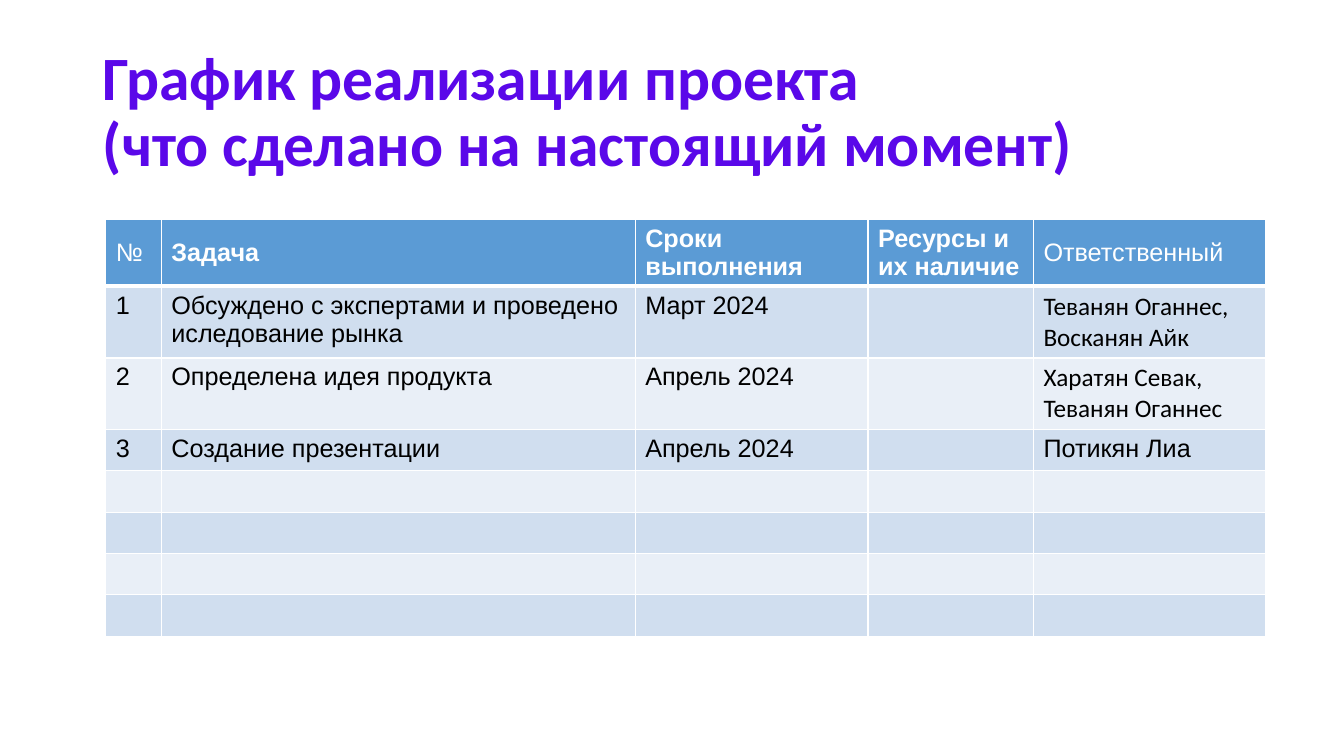
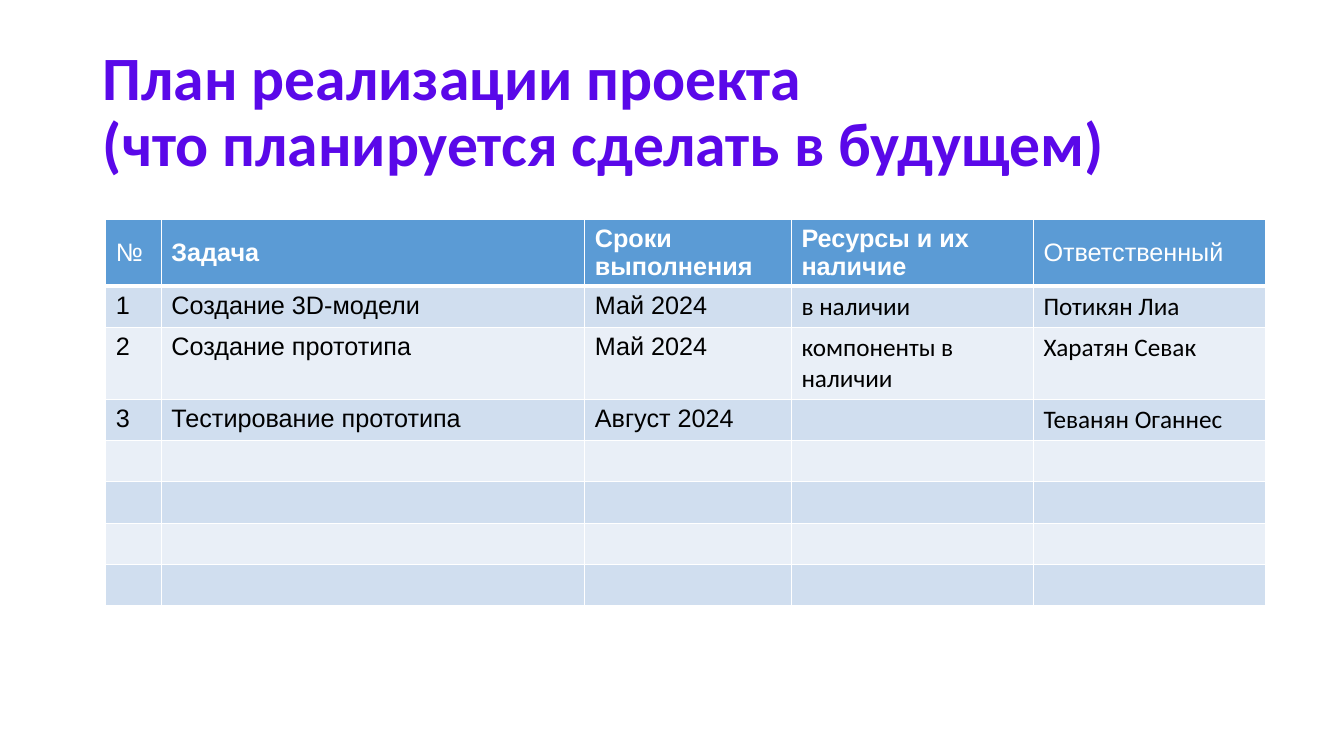
from lxml import etree
from pptx import Presentation
from pptx.dml.color import RGBColor
from pptx.enum.text import MSO_ANCHOR, MSO_AUTO_SIZE, PP_ALIGN
from pptx.oxml.ns import qn
from pptx.util import Inches, Pt

MIDDLE, TOP = MSO_ANCHOR.MIDDLE, MSO_ANCHOR.TOP
LEFT = PP_ALIGN.LEFT
NO_FIT = MSO_AUTO_SIZE.NONE

VIOLET = RGBColor(0x5A, 0x08, 0xE9)
BLUE = RGBColor(0x5B, 0x9B, 0xD5)
PALE = RGBColor(0xD0, 0xDE, 0xEF)
LIGHT = RGBColor(0xE9, 0xEF, 0xF7)
WHITE = RGBColor(0xFF, 0xFF, 0xFF)
BLACK = RGBColor(0x00, 0x00, 0x00)

HEAD = ["№", "Задача", "Сроки выполнения", "Ресурсы и их наличие", "Ответственный"]
BOLD_COLS = (1, 2, 3)
ROWS = 8
HEAD_H, ROW_H, TALL_H = 0.65, 0.41, 0.71


class Deck:
    """Holds the shared style and the slide being filled."""

    def __init__(self):
        self.prs = Presentation()
        self.prs.slide_width = Inches(13.33)
        self.prs.slide_height = Inches(7.5)
        self.slide = None

    def style(self, frame, font, size, color, bold):
        for para in frame.paragraphs:
            para.alignment = LEFT
            for run in para.runs:
                run.font.name = font
                run.font.size = Pt(size)
                run.font.color.rgb = color
                run.font.bold = bold

    def title(self, text):
        self.slide = self.prs.slides.add_slide(self.prs.slide_layouts[5])
        title = self.slide.shapes.title
        title.left, title.top = Inches(0.92), Inches(0.4)
        title.width, title.height = Inches(11.5), Inches(1.45)
        frame = title.text_frame
        frame.text = text
        frame.word_wrap = True
        frame.auto_size = NO_FIT
        frame.vertical_anchor = MIDDLE
        frame.paragraphs[0].line_spacing = 0.9
        self.style(frame, "Calibri", 44, VIOLET, True)

    def border(self, cell, side, width):
        props = cell._tc.get_or_add_tcPr()
        line = etree.SubElement(props, qn(f"a:ln{side}"), w=str(Pt(width)))
        fill = etree.SubElement(line, qn("a:solidFill"))
        etree.SubElement(fill, qn("a:srgbClr"), val=str(WHITE))

    def cell(self, cell, row, text, font, bold):
        head = row == 0
        for side in "LRTB":
            thick = (side == "B" and head) or (side == "T" and row == 1)
            self.border(cell, side, 3 if thick else 1)
        cell.fill.solid()
        cell.fill.fore_color.rgb = BLUE if head else PALE if row % 2 else LIGHT
        cell.vertical_anchor = MIDDLE if head else TOP
        cell.text_frame.text = text
        self.style(cell.text_frame, font, 18, WHITE if head else BLACK, bold)

    def table(self, widths, tasks, tall, arial=()):
        heights = [HEAD_H] + [TALL_H if row in tall else ROW_H for row in range(1, ROWS)]
        table = self.slide.shapes.add_table(
            ROWS, len(widths), Inches(1.05), Inches(2.18),
            Inches(sum(widths)), Inches(sum(heights))).table
        for col, width in enumerate(widths):
            table.columns[col].width = Inches(width)
        blank = [[""] * len(widths)] * (ROWS - 1 - len(tasks))
        for row, texts in enumerate([HEAD] + tasks + blank):
            table.rows[row].height = Inches(heights[row])
            for col, text in enumerate(texts):
                sans = row == 0 or col < 3 or (row, col) in arial
                self.cell(table.cell(row, col), row, text,
                          "Arial" if sans else "Calibri",
                          row == 0 and col in BOLD_COLS)


def main():
    deck = Deck()

    deck.title("График реализации проекта \v(что сделано на настоящий момент)")
    deck.table(
        [0.55, 4.7, 2.31, 1.64, 2.3],
        [["1", "Обсуждено с экспертами и проведено иследование рынка", "Март 2024",
          "", "Теванян Оганнес,\nВосканян Айк"],
         ["2", "Определена идея продукта", "Апрель 2024",
          "", "Харатян Севак,\nТеванян Оганнес"],
         ["3", "Создание презентации", "Апрель 2024", "", "Потикян Лиа"]],
        tall=(1, 2), arial=[(3, 4)])

    deck.title("План реализации проекта \v(что планируется сделать в будущем)")
    deck.table(
        [0.55, 4.2, 2.05, 2.4, 2.3],
        [["1", "Создание 3D-модели", "Май 2024", "в наличии", "Потикян Лиа"],
         ["2", "Создание прототипa", "Май 2024", "компоненты в наличии", "Харатян Севак"],
         ["3", "Тестирование прототипа", "Август 2024", "", "Теванян Оганнес"]],
        tall=(2,))

    deck.prs.save("out.pptx")


if __name__ == "__main__":
    main()
